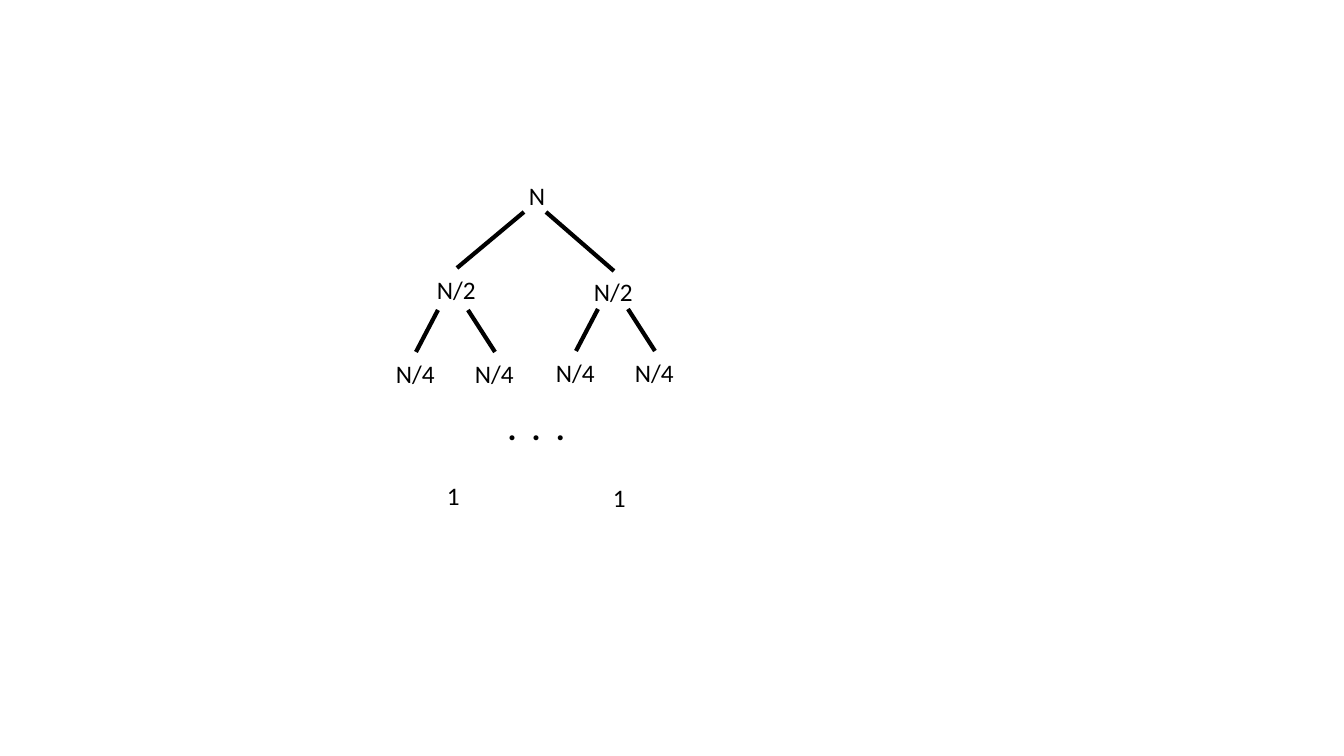
from lxml.etree import SubElement
from pptx import Presentation
from pptx.dml.color import RGBColor
from pptx.enum.shapes import MSO_CONNECTOR
from pptx.enum.text import MSO_AUTO_SIZE, PP_ALIGN
from pptx.oxml.ns import qn
from pptx.util import Emu, Pt

SLIDE_WIDTH, SLIDE_HEIGHT = 1344, 756
EMU_PER_PX = 914400 / 100.8
BLACK = "000000"
LABEL_WIDTH, LABEL_HEIGHT = 59, 40
SIBLING_STEP = 79


def px(length):
    return Emu(round(length * EMU_PER_PX))


def color(value):
    return RGBColor.from_string(value)


def add_text(slide, text, left, top, width=LABEL_WIDTH, height=LABEL_HEIGHT,
             size=18, bold=False, align=PP_ALIGN.LEFT, wrap=True):
    box = slide.shapes.add_textbox(px(left), px(top), px(width), px(height))
    frame = box.text_frame
    frame.word_wrap = wrap
    frame.auto_size = MSO_AUTO_SIZE.SHAPE_TO_FIT_TEXT
    paragraph = frame.paragraphs[0]
    paragraph.text = text
    paragraph.alignment = align
    paragraph.font.name = "Calibri"
    paragraph.font.size = Pt(size)
    paragraph.font.bold = bold
    paragraph.font.color.rgb = color(BLACK)


def add_branch(slide, start, end):
    branch = slide.shapes.add_connector(
        MSO_CONNECTOR.STRAIGHT, *(px(value) for value in (*start, *end)))
    branch.line.color.rgb = color(BLACK)
    branch.line.width = Pt(3)
    SubElement(branch._element.spPr, qn("a:effectLst"))


def add_children(slide, left, top):
    for index, (start, end) in enumerate([(52, 30), (82, 109)]):
        add_text(slide, "N/4", left + index * SIBLING_STEP, top, wrap=False)
        add_branch(slide, (left + start, top - 43), (left + end, top - 1))


def main():
    presentation = Presentation()
    presentation.slide_width = px(SLIDE_WIDTH)
    presentation.slide_height = px(SLIDE_HEIGHT)
    slide = presentation.slides.add_slide(presentation.slide_layouts[6])

    add_text(slide, "N", 519, 175, width=45)
    for left, top in [(427, 269), (584, 271)]:
        add_text(slide, "N/2", left, top, wrap=False)
    add_branch(slide, (524, 212), (457, 268))
    add_branch(slide, (546, 212), (614, 271))
    for left, top in [(386, 353), (546, 352)]:
        add_children(slide, left, top)

    add_text(slide, ".  .  . ", 392, 402, width=296, height=50,
             size=24, bold=True, align=PP_ALIGN.CENTER)
    for left, top in [(437, 475), (603, 477)]:
        add_text(slide, "1", left, top, width=45)

    presentation.save("out.pptx")


if __name__ == "__main__":
    main()
